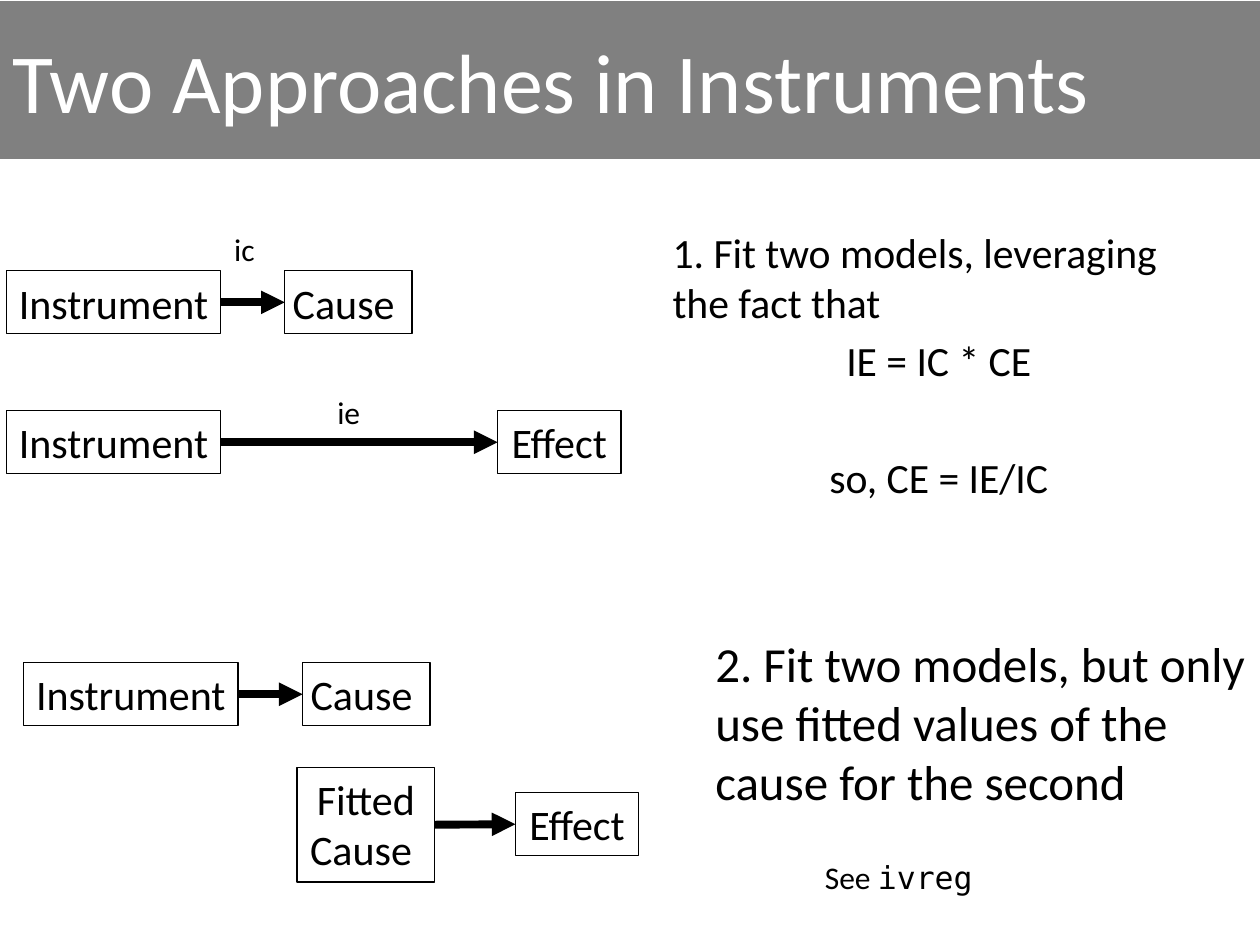
from lxml import etree
from pptx import Presentation
from pptx.dml.color import RGBColor
from pptx.enum import shapes, text
from pptx.oxml import ns
from pptx.util import Cm, Pt

BLACK = RGBColor(0, 0, 0)
WHITE = RGBColor(255, 255, 255)
GRAY = RGBColor(128, 128, 128)
BODY_FONT = "Calibri"
CODE_FONT = "DejaVu Sans Mono"
LEFT, CENTER = text.PP_ALIGN.LEFT, text.PP_ALIGN.CENTER
BOX_HEIGHT = 1.27
BOX_WIDTHS = {"Instrument": 4.32, "Cause ": 2.57, "Effect": 2.49}


def style(paragraph, size, color=BLACK, align=LEFT):
    paragraph.alignment = align
    paragraph.font.size = Pt(size)
    paragraph.font.name = BODY_FONT
    paragraph.font.color.rgb = color


def fill_heading(heading, words):
    heading.left, heading.top = Cm(0), Cm(0.03)
    heading.width, heading.height = Cm(25.4), Cm(3.17)
    heading.fill.solid()
    heading.fill.fore_color.rgb = GRAY
    heading.line.color.rgb = GRAY
    heading.line.width = Pt(0.75)
    frame = heading.text_frame
    frame.text = words
    frame.auto_size = text.MSO_AUTO_SIZE.NONE
    frame.vertical_anchor = text.MSO_ANCHOR.MIDDLE
    style(frame.paragraphs[0], 48, WHITE)


def add_variable(slide, label, left, top, width=None, height=BOX_HEIGHT):
    variable = slide.shapes.add_shape(
        shapes.MSO_SHAPE.RECTANGLE, Cm(left), Cm(top),
        Cm(width or BOX_WIDTHS[label]), Cm(height))
    variable.shadow.inherit = False
    variable.fill.solid()
    variable.fill.fore_color.rgb = WHITE
    variable.line.color.rgb = BLACK
    variable.line.width = Pt(0.75)
    frame = variable.text_frame
    frame.text = label
    frame.word_wrap = False
    frame.vertical_anchor = text.MSO_ANCHOR.TOP
    for paragraph in frame.paragraphs:
        style(paragraph, 24, align=CENTER)
    return variable


def add_effect_arrow(slide, source, target):
    arrow = slide.shapes.add_connector(shapes.MSO_CONNECTOR.STRAIGHT, 0, 0, 0, 0)
    arrow.begin_connect(source, 3)
    arrow.end_connect(target, 1)
    arrow.line.color.rgb = BLACK
    arrow.line.width = Pt(4.5)
    etree.SubElement(arrow.line._get_or_add_ln(), ns.qn("a:tailEnd"), type="triangle")
    etree.SubElement(arrow._element.spPr, ns.qn("a:effectLst"))


def add_text(slide, lines, left, top, width, height, size, wrap=True):
    frame = slide.shapes.add_textbox(
        Cm(left), Cm(top), Cm(width), Cm(height)).text_frame
    frame.word_wrap = wrap
    frame.text = "\n".join(words for words, _, _ in lines)
    for paragraph, (_, align, gap) in zip(frame.paragraphs, lines):
        if gap:
            paragraph.space_before = Pt(gap)
        style(paragraph, size, align=align)
    return frame


def main():
    deck = Presentation()
    deck.slide_width, deck.slide_height = Cm(25.4), Cm(19.05)
    slide = deck.slides.add_slide(deck.slide_layouts[5])
    fill_heading(slide.shapes.title, "Two Approaches in Instruments")

    for left, top, outcome, outcome_left in (
            (0.13, 5.46, "Cause ", 5.74),
            (0.13, 8.28, "Effect", 10.03),
            (0.48, 13.36, "Cause ", 6.1)):
        instrument = add_variable(slide, "Instrument", left, top)
        add_effect_arrow(slide, instrument,
                         add_variable(slide, outcome, outcome_left, top))

    fitted = add_variable(slide, "Fitted\nCause ", 5.99, 15.47, 2.77, 2.31)
    add_effect_arrow(slide, fitted, add_variable(slide, "Effect", 10.39, 15.98))

    add_text(slide, [("ic", LEFT, 0)], 4.47, 4.52, 0.94, 1.02, 18, wrap=False)
    add_text(slide, [("ie", LEFT, 0)], 6.55, 7.8, 0.99, 1.02, 18, wrap=False)
    add_text(slide, [("1. Fit two models, leveraging the fact that", LEFT, 0),
                     ("IE = IC * CE", CENTER, 4.8),
                     ("so, CE = IE/IC", CENTER, 38)],
             13.31, 4.45, 11.23, 5.13, 23.8)
    add_text(slide, [("2. Fit two models, but only use fitted values of the "
                      "cause for the second", LEFT, 0)],
             14.17, 12.65, 11.23, 5.13, 28)
    reference = add_text(slide, [("See ", LEFT, 0)],
                         16.38, 17.17, 3.51, 1.02, 18, wrap=False)
    command = reference.paragraphs[0].add_run()
    command.text = "ivreg"
    command.font.name = CODE_FONT

    deck.save("out.pptx")


if __name__ == "__main__":
    main()
